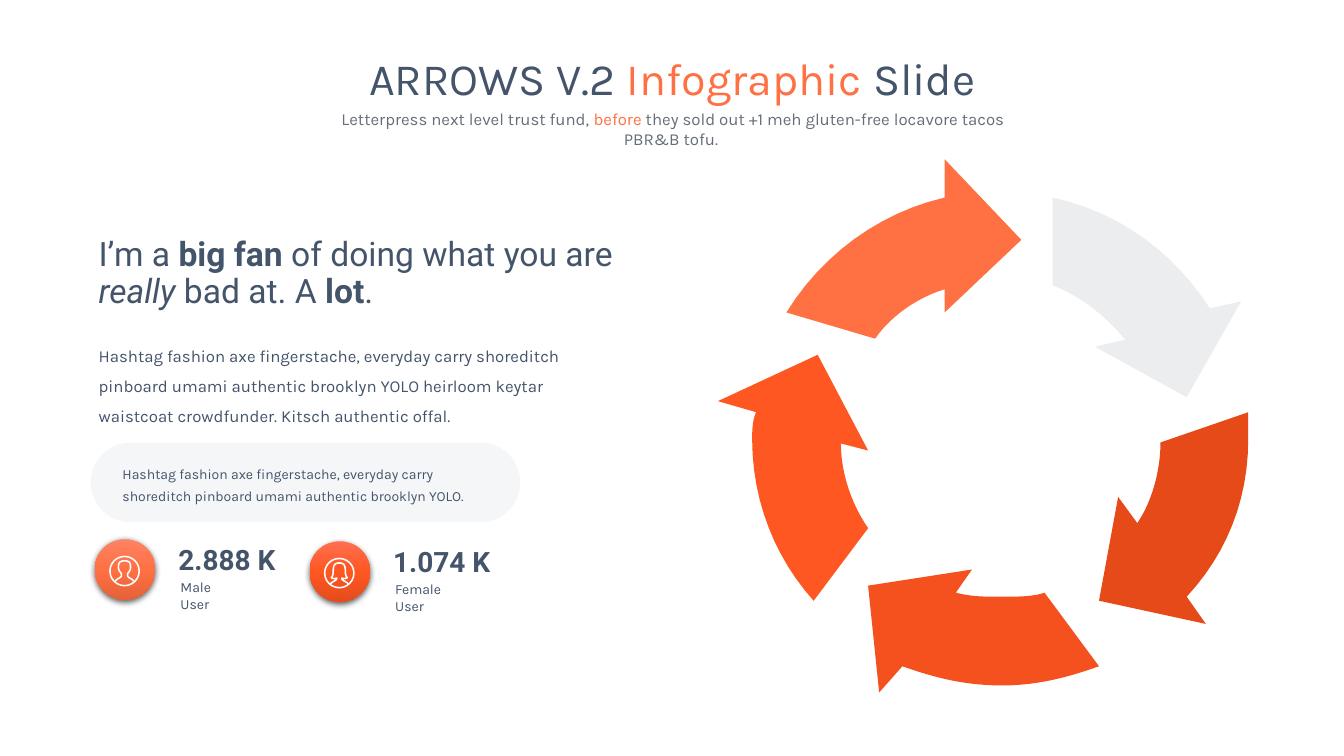
"""Build the circular arrows infographic slide."""
from pptx import Presentation
from pptx.dml.color import RGBColor
from pptx.enum.shapes import MSO_SHAPE
from pptx.enum.text import MSO_ANCHOR, PP_ALIGN
from pptx.oxml import parse_xml
from pptx.oxml.ns import nsdecls, qn
from pptx.util import Inches, Pt

OVAL, ROUND = MSO_SHAPE.OVAL, MSO_SHAPE.ROUNDED_RECTANGLE
LEFT, MID = PP_ALIGN.LEFT, PP_ALIGN.CENTER
CENTRE = MSO_ANCHOR.MIDDLE

HUES = {
    "navy": "44546A", "gray": "656D78", "coral": "FF7043", "orange": "FF5722",
    "red": "F4511E", "rust": "E64A19", "pale": "ECEDEE", "mist": "D6DCE5",
    "white": "FFFFFF", "peach": "FF8363", "clay": "E56239",
    "flame": "FF6F52", "brick": "E54C1C",
}

TITLE = [("ARROWS V.2 ", "navy", ""), ("Infographic ", "coral", ""), ("Slide", "navy", "")]
LEAD = [
    ("Letterpress next level trust fund, ", "gray", ""),
    ("before", "coral", ""),
    (" they sold out +1 meh gluten-free locavore tacos PBR&B tofu. ", "gray", ""),
]
QUOTE = [
    ("I’m a ", "navy", ""), ("big fan ", "navy", "b"),
    ("of doing what you are ", "navy", ""), ("really", "navy", "i"),
    (" bad at. A ", "navy", ""), ("lot", "navy", "b"), (".", "navy", ""),
]
BODY = [(
    "Hashtag fashion axe fingerstache, everyday carry shoreditch pinboard umami "
    "authentic brooklyn YOLO heirloom keytar waistcoat crowdfunder. "
    "Kitsch authentic offal.", "navy", "")]
NOTE = [(
    "Hashtag fashion axe fingerstache, everyday carry shoreditch pinboard umami "
    "authentic brooklyn YOLO.", "navy", "")]

# Each step is a corner (x, y) or a curve (x1, y1, x2, y2, x, y).
ARROWS = [
    ("coral", [(10.13, 2.38), (9.37, 1.58), (9.37, 1.96),
               (8.72, 2.11, 8.15, 2.53, 7.8, 3.1), (8.68, 3.36),
               (8.83, 3.14, 9.1, 2.95, 9.37, 2.87), (9.37, 3.1)]),
    ("orange", [(8.11, 3.52), (7.12, 3.98), (7.5, 4.09),
                (7.46, 4.17, 7.46, 4.28, 7.46, 4.36),
                (7.46, 4.97, 7.69, 5.54, 8.07, 5.96), (8.61, 5.24),
                (8.45, 5.01, 8.34, 4.7, 8.34, 4.4), (8.61, 4.47)]),
    ("red", [(9.64, 5.65), (8.61, 5.81), (8.72, 6.87), (8.95, 6.61),
             (9.26, 6.72, 9.56, 6.8, 9.94, 6.8),
             (10.29, 6.8, 10.59, 6.72, 10.9, 6.61), (10.36, 5.88),
             (10.25, 5.92, 10.09, 5.92, 9.94, 5.92),
             (9.75, 5.92, 9.64, 5.92, 9.48, 5.88)]),
    ("rust", [(12.38, 4.09), (11.51, 4.39),
              (11.51, 4.66, 11.43, 4.97, 11.28, 5.19), (11.09, 4.93),
              (10.9, 5.96), (11.96, 6.19), (11.77, 5.92),
              (12.16, 5.5, 12.38, 4.97, 12.38, 4.36)]),
    ("pale", [(10.44, 1.96), (10.44, 2.83),
              (10.74, 2.95, 10.97, 3.14, 11.16, 3.37), (10.86, 3.44),
              (11.77, 3.94), (12.31, 2.99), (12, 3.06),
              (11.66, 2.53, 11.13, 2.11, 10.44, 1.96)]),
]

# Right half of each bust, in hundredths of an inch from the badge centre.
MALE = [(0, -10), (4, -10, 6, -9, 6, -4), (6, 1, 3, 1, 3, 4), (3, 7, 7, 7, 9, 10)]
FEMALE = [(0, -10), (5, -10, 6, -7, 6, -2), (6, 2, 7, 4, 8, 4.5),
          (6, 6, 4, 5.5, 2.5, 5), (2.5, 8, 7, 8, 9, 11)]
USERS = [
    (0.94, 5.35, "2.888 K", "Male User", 0.58, MALE, ("peach", "coral", "clay")),
    (3.07, 5.37, "1.074 K", "Female User", 0.73, FEMALE, ("flame", "orange", "brick")),
]


def hue(name):
    return RGBColor.from_string(HUES[name])


def trace(steps, count=12):
    points = [steps[0]]
    for step in steps[1:]:
        if len(step) == 2:
            points.append(step)
            continue
        ends = [points[-1], step[:2], step[2:4], step[4:]]
        for i in range(1, count + 1):
            t = i / count
            parts = ((1 - t) ** 3, 3 * t * (1 - t) ** 2, 3 * t * t * (1 - t), t ** 3)
            points.append(tuple(sum(w * p[k] for w, p in zip(parts, ends)) for k in (0, 1)))
    return points


def outline(shapes, points, close):
    dots = [(Inches(x), Inches(y)) for x, y in points]
    pen = shapes.build_freeform(*dots[0], scale=1.0)
    pen.add_line_segments(dots[1:], close=close)
    shape = pen.convert_to_shape()
    shape.shadow.inherit = False
    return shape


def stroke(shape):
    shape.fill.background()
    shape.line.color.rgb = hue("white")
    shape.line.width = Pt(1.1)


def write(frame, runs, size, font="Karla", align=LEFT, gap=1.0, wrap=True):
    frame.word_wrap = wrap
    para = frame.paragraphs[0]
    para.alignment, para.line_spacing = align, gap
    for text, color, style in runs:
        run = para.add_run()
        run.text = text
        run.font.size, run.font.name = Pt(size), font
        run.font.color.rgb = hue(color)
        run.font.bold, run.font.italic = style == "b", style == "i"


def label(shapes, box, runs, size, inset=True, **look):
    frame = shapes.add_textbox(*map(Inches, box)).text_frame
    if not inset:
        frame.margin_left = frame.margin_right = frame.margin_top = frame.margin_bottom = 0
    write(frame, runs, size, **look)


def badge(shapes, left, top, tones):
    disc = shapes.add_shape(OVAL, *map(Inches, (left, top, 0.6, 0.6)))
    stops = "".join(
        f'<a:gs pos="{i * 50000}"><a:srgbClr val="{HUES[tone]}"/></a:gs>'
        for i, tone in enumerate(tones))
    for part in (
        f'<a:gradFill {nsdecls("a")} rotWithShape="1"><a:gsLst>{stops}</a:gsLst>'
        '<a:lin ang="5400000" scaled="0"/></a:gradFill>',
        f'<a:ln {nsdecls("a")}><a:noFill/></a:ln>',
        f'<a:effectLst {nsdecls("a")}><a:outerShdw blurRad="57150" dist="19050" '
        'dir="5400000" algn="ctr" rotWithShape="0"><a:srgbClr val="000000">'
        '<a:alpha val="63000"/></a:srgbClr></a:outerShdw></a:effectLst>',
    ):
        disc._element.spPr.append(parse_xml(part))


def user(shapes, left, top, value, name, width, bust, tones):
    badge(shapes, left, top, tones)
    label(shapes, (left + 0.73, top - 0.02, 1.18, 0.44), [(value, "navy", "b")],
          20, font="Roboto", wrap=False)
    label(shapes, (left + 0.85, top + 0.39, width, 0.17), [(name, "navy", "")],
          10, inset=False)
    ring = shapes.add_shape(OVAL, *map(Inches, (left + 0.15, top + 0.17, 0.29, 0.29)))
    ring.shadow.inherit = False
    stroke(ring)
    half = trace(bust)
    whole = [(-x, y) for x, y in half[:0:-1]] + half
    points = [(left + 0.295 + x / 100, top + 0.315 + y / 100) for x, y in whole]
    stroke(outline(shapes, points, False))


def panel(shapes):
    pill = shapes.add_shape(ROUND, *map(Inches, (0.9, 4.39, 4.26, 0.79)))
    pill.adjustments[0] = 0.5
    pill.shadow.inherit = False
    pill.fill.solid()
    pill.fill.fore_color.rgb = hue("mist")
    tint = pill._element.spPr.find(qn("a:solidFill")).find(qn("a:srgbClr"))
    tint.append(parse_xml(f'<a:alpha {nsdecls("a")} val="25000"/>'))
    pill.line.fill.background()
    frame = pill.text_frame
    frame.margin_left = frame.margin_right = Inches(0.2)
    frame.vertical_anchor = CENTRE
    write(frame, NOTE, 10, gap=1.3)


def main():
    deck = Presentation()
    deck.slide_width, deck.slide_height = Inches(13.33), Inches(7.5)
    shapes = deck.slides.add_slide(deck.slide_layouts[6]).shapes
    label(shapes, (2.54, 0.45, 8.26, 0.64), TITLE, 32, align=MID)
    label(shapes, (3.2, 1.03, 6.95, 0.3), LEAD, 12, align=MID)
    for color, steps in ARROWS:
        arrow = outline(shapes, trace(steps), True)
        arrow.fill.solid()
        arrow.fill.fore_color.rgb = hue(color)
        arrow.line.fill.background()
    label(shapes, (0.88, 2.31, 5.46, 0.83), QUOTE, 24, font="Roboto", gap=0.9)
    label(shapes, (0.88, 3.28, 5.32, 1.01), BODY, 12, gap=1.5)
    panel(shapes)
    for row in USERS:
        user(shapes, *row)
    deck.save("out.pptx")


if __name__ == "__main__":
    main()
